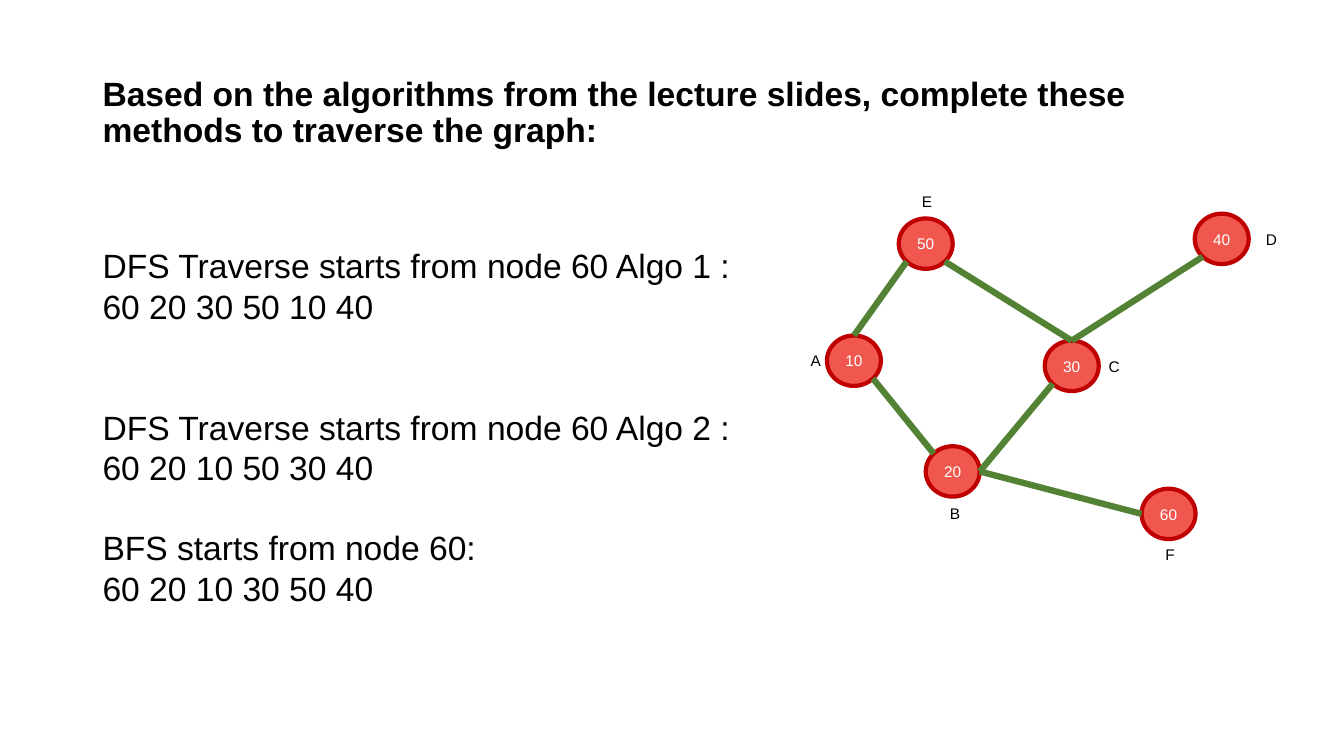
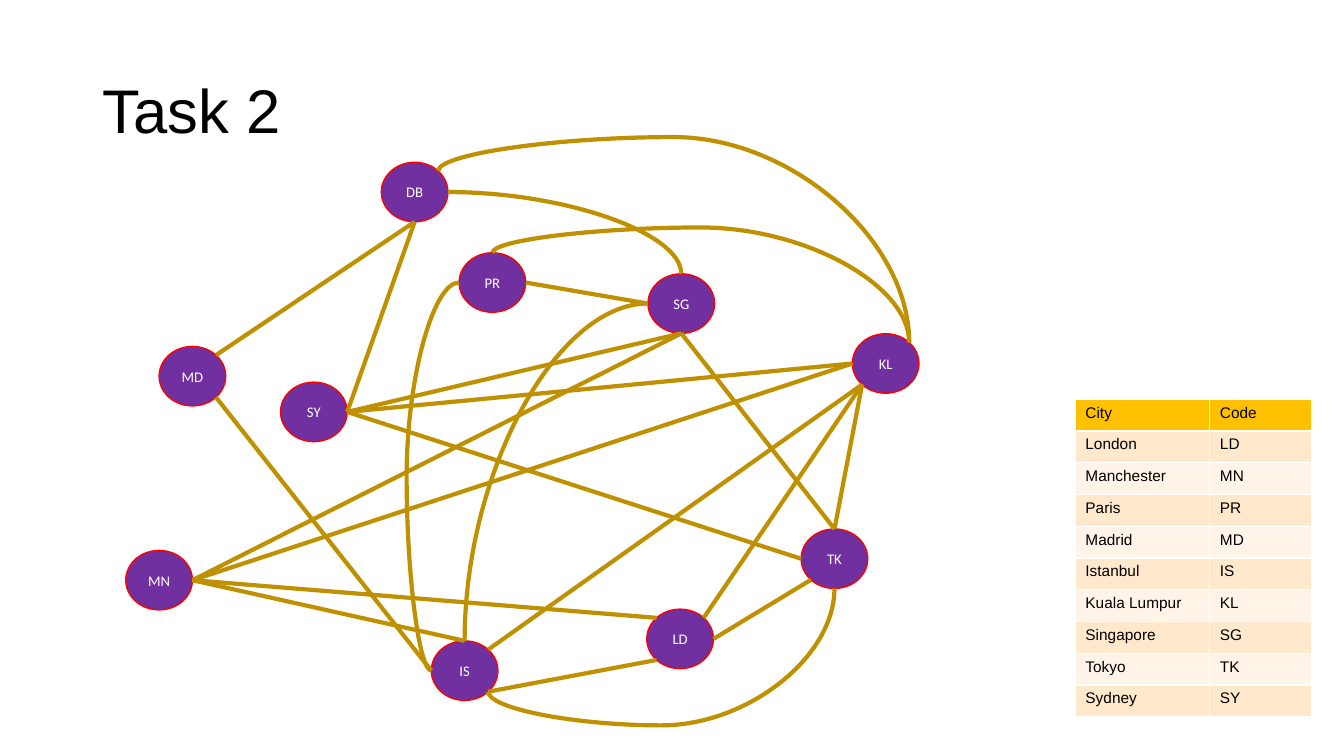
from math import cos, radians, sin

from lxml import etree
from pptx import Presentation
from pptx.dml.color import RGBColor
from pptx.enum.shapes import MSO_CONNECTOR, MSO_SHAPE
from pptx.enum.text import MSO_ANCHOR, MSO_AUTO_SIZE, PP_ALIGN
from pptx.oxml.ns import qn
from pptx.util import Cm, Pt

STRAIGHT, CURVE = MSO_CONNECTOR.STRAIGHT, MSO_CONNECTOR.CURVE
OVAL = MSO_SHAPE.OVAL
TOP, MIDDLE = MSO_ANCHOR.TOP, MSO_ANCHOR.MIDDLE
LEFT, CENTER = PP_ALIGN.LEFT, PP_ALIGN.CENTER
NO_FIT = MSO_AUTO_SIZE.NONE

BLACK = RGBColor(0x00, 0x00, 0x00)
WHITE = RGBColor(0xFF, 0xFF, 0xFF)
CORAL = RGBColor(0xF0, 0x58, 0x4F)
DARK_RED = RGBColor(0xC0, 0x00, 0x00)
GREEN = RGBColor(0x54, 0x82, 0x35)
PURPLE = RGBColor(0x70, 0x30, 0xA0)
RED = RGBColor(0xFF, 0x00, 0x00)
GOLD = RGBColor(0xBF, 0x90, 0x00)
AMBER = RGBColor(0xFF, 0xC0, 0x00)
PEACH = RGBColor(0xFF, 0xE8, 0xCC)
CREAM = RGBColor(0xFF, 0xF4, 0xE7)

N, NW, W, SW, S, SE, E, NE = range(8)

TRAVERSALS = [
    ("DFS Traverse starts from node 60 Algo 1 :", 0),
    ("60 20 30 50 10 40", 0),
    ("DFS Traverse starts from node 60 Algo 2 :", 57.6),
    ("60 20 10 50 30 40", 0),
    ("BFS starts from node 60:", 28.8),
    ("60 20 10 30 50 40", 0),
]
TREE_NODES = [
    ("A", "10", 21.52, 9.09, -0.96, 0),
    ("B", "20", 24.01, 11.88, 0.06, 1.06),
    ("C", "30", 27.01, 9.22, 1.07, 0),
    ("D", "40", 30.79, 6.02, 1.25, 0),
    ("E", "50", 23.33, 6.14, 0.03, -1.07),
    ("F", "60", 29.45, 12.95, 0.04, 1.03),
]
TREE_EDGES = [
    ("A", SE, "B", NW), ("A", N, "E", SW), ("C", SW, "B", E),
    ("F", W, "B", E), ("D", SW, "C", N), ("E", SE, "C", N),
]
CITY_NODES = [
    ("LD", 17.14, 16.1), ("MN", 4.01, 14.62), ("PR", 12.41, 7.12),
    ("MD", 4.85, 9.48), ("IS", 11.71, 16.9), ("DB", 10.45, 4.84),
    ("SG", 17.17, 7.65), ("TK", 21.03, 14.08), ("SY", 7.91, 10.38),
    ("KL", 22.32, 9.16),
]
CITY_EDGES = [
    ("MN", E, "LD", NW), ("LD", SW, "IS", SE), ("KL", SW, "LD", NE),
    ("TK", SW, "LD", E), ("MN", E, "IS", N), ("KL", W, "MN", E),
    ("SG", S, "MN", E), ("PR", E, "SG", W), ("MD", SE, "IS", W),
    ("MD", NE, "DB", S), ("IS", NE, "KL", SW), ("DB", S, "SY", E),
    ("KL", SW, "TK", N), ("SY", E, "KL", W), ("SG", S, "TK", N),
    ("SG", S, "SY", E), ("TK", W, "SY", E),
]
CITY_CURVES = [
    ("PR", N, "KL", NE, 270, "H", -0.282),
    ("PR", W, "IS", W, 180, "V", 1.891),
    ("IS", N, "SG", W, 90, "HV", None),
    ("IS", SE, "TK", S, 90, "HV", -0.327),
    ("DB", NE, "KL", NE, 270, "H", -0.198),
    ("DB", E, "SG", N, 0, "", None),
]
CITY_CODES = [
    ("City", "Code"), ("London", "LD"), ("Manchester", "MN"), ("Paris", "PR"),
    ("Madrid", "MD"), ("Istanbul", "IS"), ("Kuala Lumpur", "KL"),
    ("Singapore", "SG"), ("Tokyo", "TK"), ("Sydney", "SY"),
]


def write_text(paragraph, text, size=11, font="Arial", color=BLACK, bold=False,
               align=LEFT, before=0, spacing=1.0):
    """Write one formatted run into a paragraph."""
    run = paragraph.add_run()
    run.text = text
    run.font.name = font
    run.font.size = Pt(size)
    run.font.bold = bold
    run.font.color.rgb = color
    paragraph.alignment = align
    paragraph.space_before = Pt(before)
    paragraph.line_spacing = spacing


class GraphDeck:
    """Hold the shared style and the slide being drawn."""

    def __init__(self):
        """Start a wide presentation."""
        self.presentation = Presentation()
        self.presentation.slide_width = Cm(33.87)
        self.presentation.slide_height = Cm(19.05)
        self.slide = None
        self.nodes = {}

    def place(self, shape, left, top, width, height):
        """Move and size a shape in centimetres."""
        shape.left, shape.top = Cm(left), Cm(top)
        shape.width, shape.height = Cm(width), Cm(height)

    def add_slide(self, layout, title, size, bold=False):
        """Begin a slide with the shared title style."""
        self.slide = self.presentation.slides.add_slide(
            self.presentation.slide_layouts[layout])
        self.nodes = {}
        shape = self.slide.shapes.title
        self.place(shape, 2.33, 1.02, 29.21, 3.68)
        frame = shape.text_frame
        frame.auto_size = NO_FIT
        frame.vertical_anchor = MIDDLE
        write_text(frame.paragraphs[0], title, size=size, bold=bold, spacing=0.9)

    def add_body(self, lines, left, top, width, height):
        """Fill the body placeholder with unbulleted lines."""
        shape = self.slide.placeholders[1]
        self.place(shape, left, top, width, height)
        frame = shape.text_frame
        frame.auto_size = NO_FIT
        frame.vertical_anchor = TOP
        for index, (text, before) in enumerate(lines):
            paragraph = frame.add_paragraph() if index else frame.paragraphs[0]
            write_text(paragraph, text, size=24, before=before)
            properties = paragraph._p.get_or_add_pPr()
            properties.set("marL", "0")
            properties.set("indent", "0")
            etree.SubElement(properties, qn("a:buNone"))

    def center_text(self, shape, text, **text_format):
        """Centre one unwrapped line in a shape."""
        frame = shape.text_frame
        frame.margin_left = frame.margin_right = 0
        frame.margin_top = frame.margin_bottom = 0
        frame.word_wrap = False
        frame.vertical_anchor = MIDDLE
        write_text(frame.paragraphs[0], text, align=CENTER, **text_format)

    def add_node(self, name, text, x, y, width, height, fill, line, weight,
                 **text_format):
        """Draw a node around its centre and remember it by name."""
        shape = self.slide.shapes.add_shape(
            OVAL, Cm(x - width / 2), Cm(y - height / 2), Cm(width), Cm(height))
        shape.shadow.inherit = False
        shape.fill.solid()
        shape.fill.fore_color.rgb = fill
        shape.line.color.rgb = line
        shape.line.width = Pt(weight)
        self.center_text(shape, text, color=WHITE, **text_format)
        self.nodes[name] = shape

    def add_label(self, text, x, y, width=0.8, height=0.74):
        """Draw a short label around its centre."""
        shape = self.slide.shapes.add_textbox(
            Cm(x - width / 2), Cm(y - height / 2), Cm(width), Cm(height))
        self.center_text(shape, text)

    def site(self, name, index):
        """Find a connection site, counted anticlockwise from the top."""
        shape = self.nodes[name]
        angle = radians(45 * index)
        return (int(shape.left + shape.width * (1 - sin(angle)) / 2),
                int(shape.top + shape.height * (1 - cos(angle)) / 2))

    def style_line(self, connector, color, weight):
        """Colour a connector and remove its shadow."""
        connector.line.color.rgb = color
        connector.line.width = Pt(weight)
        properties = connector.element.find(qn("p:spPr"))
        etree.SubElement(properties, qn("a:effectLst"))

    def add_edge(self, start, start_site, end, end_site, color, weight):
        """Join two nodes with a straight glued connector."""
        connector = self.slide.shapes.add_connector(
            STRAIGHT, *self.site(start, start_site), *self.site(end, end_site))
        self.style_line(connector, color, weight)
        links = connector.element.find(".//" + qn("p:cNvCxnSpPr"))
        for tag, name, index in (("a:stCxn", start, start_site),
                                 ("a:endCxn", end, end_site)):
            etree.SubElement(links, qn(tag), id=str(self.nodes[name].shape_id),
                             idx=str(index))

    def add_curve(self, start, start_site, end, end_site, rotation, flips, bend,
                  color, weight):
        """Join two nodes with a curve, a quarter turn when bend is None."""
        x1, y1 = self.site(start, start_site)
        x2, y2 = self.site(end, end_site)
        width, height = abs(x2 - x1), abs(y2 - y1)
        if rotation in (90, 270):
            width, height = height, width
        left, top = (x1 + x2 - width) // 2, (y1 + y2 - height) // 2
        connector = self.slide.shapes.add_connector(
            CURVE, left, top, left + width, top + height)
        self.style_line(connector, color, weight)
        transform = connector.element.find(".//" + qn("a:xfrm"))
        transform.set("rot", str(rotation * 60000))
        for flip in flips:
            transform.set("flip" + flip, "1")
        geometry = connector.element.find(".//" + qn("a:prstGeom"))
        if bend is None:
            geometry.set("prst", "curvedConnector2")
        else:
            etree.SubElement(geometry.find(qn("a:avLst")), qn("a:gd"),
                             name="adj1", fmla=f"val {round(bend * 100000)}")

    def add_table(self, rows, left, top, widths, row_height):
        """Draw a table with an amber header and alternating rows."""
        table = self.slide.shapes.add_table(
            len(rows), len(widths), Cm(left), Cm(top), Cm(sum(widths)),
            Cm(row_height * len(rows))).table
        for column, width in zip(table.columns, widths):
            column.width = Cm(width)
        for row_index, row in enumerate(rows):
            band = PEACH if row_index % 2 else CREAM
            for column_index, text in enumerate(row):
                cell = table.cell(row_index, column_index)
                cell.fill.solid()
                cell.fill.fore_color.rgb = band if row_index else AMBER
                write_text(cell.text_frame.paragraphs[0], text)


def add_traversal_slide(deck):
    """Draw the traversal answers and their graph."""
    deck.add_slide(1, "Based on the algorithms from the lecture slides, complete "
                   "these methods to traverse the graph:", 24, bold=True)
    deck.add_body(TRAVERSALS, 2.33, 6.05, 16.74, 9.5)
    for name, value, x, y, label_x, label_y in TREE_NODES:
        deck.add_node(name, value, x, y, 1.36, 1.27, CORAL, DARK_RED, 3)
        deck.add_label(name, x + label_x, y + label_y)
    for edge in TREE_EDGES:
        deck.add_edge(*edge, GREEN, 4.5)


def add_city_slide(deck):
    """Draw the city graph and its code table."""
    deck.add_slide(5, "Task 2", 44)
    for code, x, y in CITY_NODES:
        deck.add_node(code, code, x, y, 1.68, 1.5, PURPLE, RED, 1,
                      size=10.5, font="Calibri")
    deck.add_table(CITY_CODES, 27.1, 10.06, (3.39, 2.57), 0.8)
    for edge in CITY_EDGES:
        deck.add_edge(*edge, GOLD, 3)
    for curve in CITY_CURVES:
        deck.add_curve(*curve, GOLD, 3)


def main():
    """Build and save the presentation."""
    deck = GraphDeck()
    add_traversal_slide(deck)
    add_city_slide(deck)
    deck.presentation.save("out.pptx")


if __name__ == "__main__":
    main()
